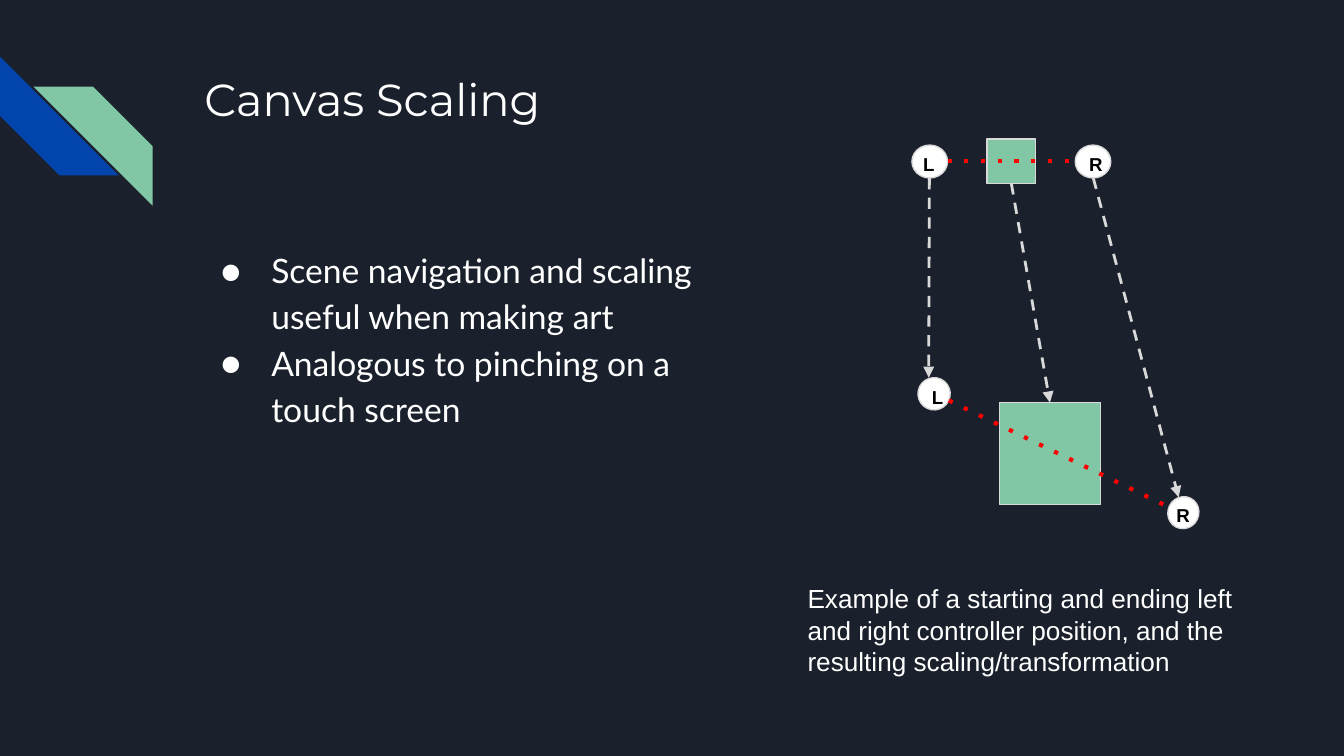
from lxml.etree import SubElement as Sub
from pptx import Presentation
from pptx.dml.color import RGBColor as Rgb
from pptx.enum.shapes import MSO_CONNECTOR as Conn, MSO_SHAPE as Kind
from pptx.enum.text import MSO_ANCHOR as Anchor, MSO_AUTO_SIZE as Fit, PP_ALIGN as Align
from pptx.oxml.ns import qn
from pptx.util import Emu, Pt

HUES = {"back": "1B212C", "blue": "0145AC", "green": "82C7A5", "white": "FFFFFF",
        "grey": "D9D9D9", "red": "FF0000", "black": "000000"}


def px(n):
    """Turn px, two hundred to the inch, into EMU."""
    return Emu(n * 4572)


def hue(name):
    """Look up a colour."""
    return Rgb.from_string(HUES[name])


def write(shape, *lines, font="Arial", size=14, color="white", bold=False,
          space=None, bullet=None):
    """Fill a text shape with formatted paragraphs."""
    frame = shape.text_frame
    frame.word_wrap = True
    frame.auto_size = Fit.NONE
    frame.vertical_anchor = Anchor.TOP
    frame.margin_left = frame.margin_right = px(20)
    frame.margin_top = frame.margin_bottom = px(20)
    frame.text = "\n".join(lines)
    for para in frame.paragraphs:
        para.alignment = Align.LEFT
        para.line_spacing = space
        run = para.runs[0].font
        run.name, run.size, run.bold = font, Pt(size), bold
        run.color.rgb = hue(color)
        if bullet:
            props = para._p.get_or_add_pPr()
            props.set("marL", str(px(100)))
            props.set("indent", str(px(-75)))
            tint = Sub(props, qn("a:buClr"))
            Sub(tint, qn("a:srgbClr"), val=HUES[color])
            Sub(props, qn("a:buFont"), typeface=font)
            Sub(props, qn("a:buChar"), char=bullet)


def label(slide, box, *lines, **style):
    """Add a text box."""
    write(slide.shapes.add_textbox(*map(px, box)), *lines, **style)


def block(slide, kind, box, fill, edge=None, turn=0):
    """Add a filled preset shape."""
    shape = slide.shapes.add_shape(kind, *map(px, box))
    shape.shadow.inherit = False
    shape.rotation = turn
    shape.fill.solid()
    shape.fill.fore_color.rgb = hue(fill)
    if edge:
        shape.line.color.rgb = hue(edge)
        shape.line.width = Pt(0.75)
    else:
        shape.line.fill.background()
    return shape


def link(slide, start, end, color, width, dash, head=False):
    """Add a dashed straight connector."""
    line = slide.shapes.add_connector(Conn.STRAIGHT, *map(px, (*start, *end)))
    line.line.color.rgb = hue(color)
    line.line.width = Pt(width)
    edge = line.line._get_or_add_ln()
    Sub(edge, qn("a:prstDash"), val=dash)
    if head:
        Sub(edge, qn("a:tailEnd"), type="triangle")
    Sub(line._element.spPr, qn("a:effectLst"))
    return line


def stripes(slide, x, y):
    """Draw the two corner stripes."""
    for dx, dy, fill, turn in ((0, 0, "blue", 270), (50, 45, "green", 90)):
        block(slide, Kind.DIAGONAL_STRIPE, (x + dx, y + dy, 177, 177), fill, turn=turn)


def head(slide, box, text):
    """Place the title."""
    title = slide.shapes.title
    title.left, title.top, title.width, title.height = map(px, box)
    write(title, text, font="Montserrat", size=24)


def scene(slide, x, y):
    """Draw the controllers and the square before and after scaling."""
    def at(dx, dy, *size):
        return (x + dx, y + dy, *size)

    hands = (("L", (17, 16, 53, 49), 0, (14, 8)),
             ("R", (260, 16, 53, 49), 0, (261, 8)),
             ("L", (26, 362, 48, 48), 25.5, (27, 354)),
             ("R", (398, 539, 46, 48), 25.5, (391, 530)))
    for _, box, turn, _ in hands:
        block(slide, Kind.OVAL, at(*box), "white", "grey", turn)
    small, big = (block(slide, Kind.RECTANGLE, at(*box), "green", "grey")
                  for box in ((129, 7, 72, 66), (147, 399, 151, 152)))

    moves = (((43, 65), (42, 362)), ((287, 65), (414, 540)), ((165, 73), (222, 399)))
    for start, end in moves:
        move = link(slide, at(*start), at(*end), "grey", 1.5, "dash", True)
    move.begin_connect(small, 2)
    move.end_connect(big, 0)
    for start, end in (((70, 40), (260, 40)), ((72, 396), (400, 555))):
        link(slide, at(*start), at(*end), "red", 2.25, "dot")

    for name, _, _, spot in hands:
        label(slide, at(*spot, 72, 64), name, size=10, color="black", bold=True)


def main():
    """Build and save the slide."""
    deck = Presentation()
    deck.slide_width, deck.slide_height = px(2000), px(1125)
    slide = deck.slides.add_slide(deck.slide_layouts[5])
    slide.background.fill.solid()
    slide.background.fill.fore_color.rgb = hue("back")
    stripes(slide, 0, 84)
    head(slide, (284, 87, 1540, 200), "Canvas Scaling")
    label(slide, (284, 343, 770, 636),
          "Scene navigation and scaling useful when making art",
          "Analogous to pinching on a touch screen",
          font="Lato", size=18, space=1.15, bullet="●")
    scene(slide, 1340, 200)
    label(slide, (1182, 847, 710, 160),
          "Example of a starting and ending left and right controller position, "
          "and the resulting scaling/transformation")
    deck.save("out.pptx")


if __name__ == "__main__":
    main()
